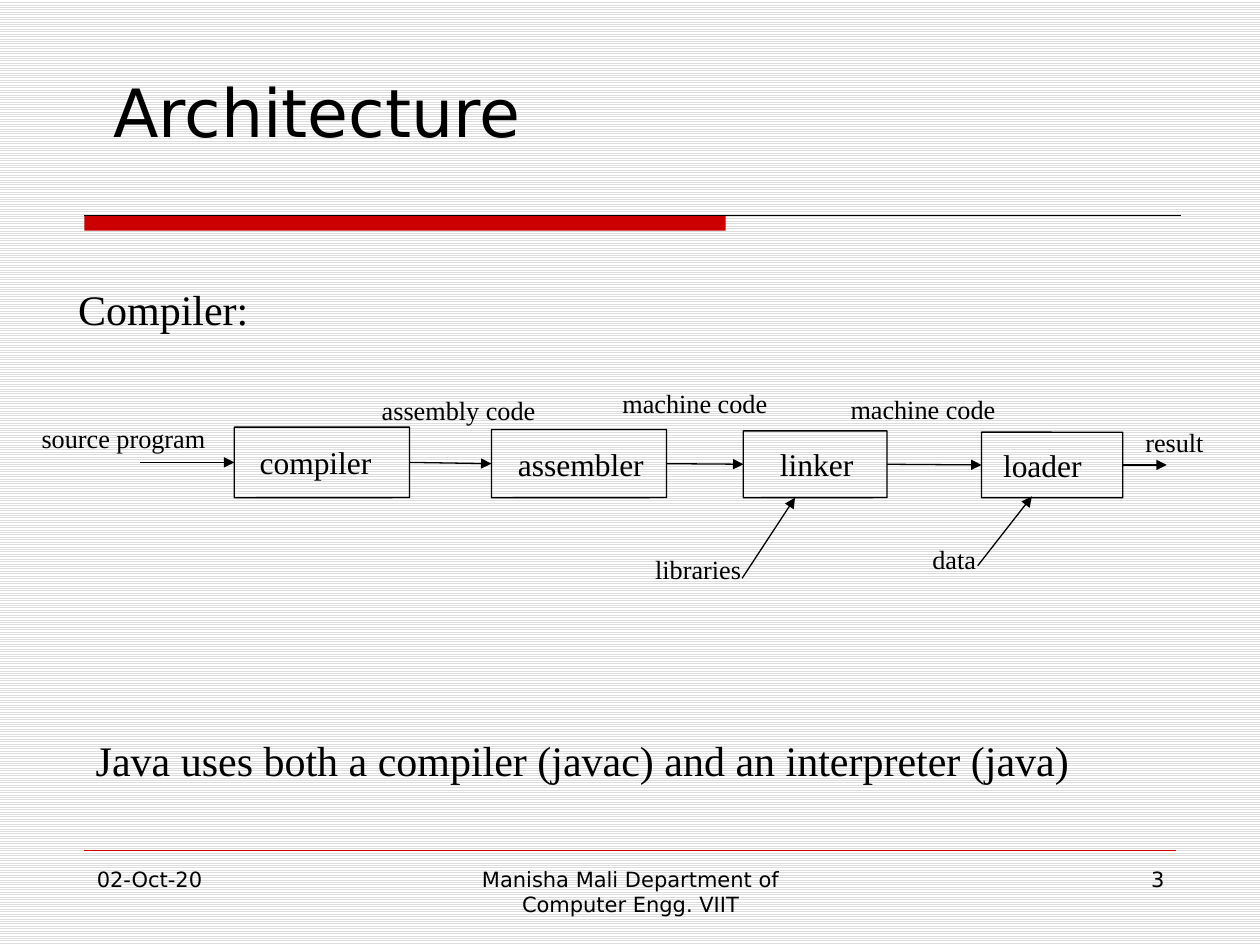
from dataclasses import dataclass

from lxml import etree
from pptx import Presentation
from pptx.dml.color import RGBColor
from pptx.enum.dml import MSO_PATTERN
from pptx.enum.shapes import MSO_CONNECTOR, MSO_SHAPE
from pptx.enum.text import MSO_ANCHOR, MSO_AUTO_SIZE, PP_ALIGN
from pptx.oxml.ns import qn
from pptx.util import Inches, Pt

STRAIGHT = MSO_CONNECTOR.STRAIGHT
RECTANGLE = MSO_SHAPE.RECTANGLE
STAGE_SHAPE = MSO_SHAPE.ROUNDED_RECTANGLE
LIGHT_STRIPES = MSO_PATTERN.LIGHT_HORIZONTAL
TOP, MIDDLE, BOTTOM = MSO_ANCHOR.TOP, MSO_ANCHOR.MIDDLE, MSO_ANCHOR.BOTTOM
LEFT, CENTER, RIGHT = PP_ALIGN.LEFT, PP_ALIGN.CENTER, PP_ALIGN.RIGHT
FIXED_SIZE = MSO_AUTO_SIZE.NONE
LEFT_SIDE, RIGHT_SIDE = 1, 3
TITLE_ONLY = 5

SLIDE_WIDTH, SLIDE_HEIGHT = Inches(10), Inches(7.5)
COLUMNS = 100
UNIT = SLIDE_WIDTH / COLUMNS


@dataclass(frozen=True)
class Theme:
    """Colours, fonts, type sizes and line widths of the slide."""
    ink: RGBColor = RGBColor(0, 0, 0)
    accent: RGBColor = RGBColor(0xCC, 0, 0)
    paper: RGBColor = RGBColor(0xFF, 0xFF, 0xFF)
    stripe: RGBColor = RGBColor(0xDD, 0xDD, 0xDD)
    heading_font: str = "DejaVu Sans"
    body_font: str = "Times New Roman"
    title: float = 38
    statement: float = 24
    stage: float = 18
    label: float = 15
    footer: float = 12
    line: float = 0.75
    hairline: float = 0.25


THEME = Theme()


@dataclass(frozen=True)
class Box:
    """A rectangle measured in grid columns and rows."""
    left: float
    top: float
    width: float
    height: float

    def inner(self, left, top, width, height):
        """Return a box placed relative to this one."""
        return Box(self.left + left, self.top + top, width, height)

    def point(self, x, y):
        """Return a slide position relative to this box."""
        return round((self.left + x) * UNIT), round((self.top + y) * UNIT)

    def frame(self):
        """Return left, top, width and height on the slide."""
        return (*self.point(0, 0), round(self.width * UNIT), round(self.height * UNIT))


def write(frame, text, *, size, font=THEME.body_font, align=LEFT, anchor=TOP, insets=(0, 0, 0, 0)):
    """Fill a text frame with one formatted paragraph."""
    frame.word_wrap = True
    frame.auto_size = FIXED_SIZE
    frame.vertical_anchor = anchor
    frame.margin_left, frame.margin_top, frame.margin_right, frame.margin_bottom = (
        round(inset * UNIT) for inset in insets)
    paragraph = frame.paragraphs[0]
    paragraph.alignment = align
    run = paragraph.add_run()
    run.text = text
    run.font.name, run.font.size = font, Pt(size)
    run.font.color.rgb = THEME.ink


def add_text(slide, box, text, **style):
    """Add a text box in the given box."""
    write(slide.shapes.add_textbox(*box.frame()).text_frame, text, **style)


def add_line(slide, start, end, *, color=THEME.ink, width=THEME.line, arrow=False):
    """Add a straight line, with an arrowhead at its end if asked."""
    line = slide.shapes.add_connector(STRAIGHT, *start, *end)
    line.line.color.rgb = color
    line.line.width = Pt(width)
    properties = line.element.spPr
    if arrow:
        etree.SubElement(properties.find(qn("a:ln")), qn("a:tailEnd"), type="triangle")
    etree.SubElement(properties, qn("a:effectLst"))
    return line


def add_background(slide):
    """Cover the slide with pale horizontal stripes."""
    fill = slide.background.fill
    fill.patterned()
    fill.pattern = LIGHT_STRIPES
    fill.fore_color.rgb, fill.back_color.rgb = THEME.stripe, THEME.paper


def add_header(slide, box, text):
    """Place the title above a red bar that continues as a thin rule."""
    bar = slide.shapes.add_shape(RECTANGLE, *box.inner(0, 12.1, 50.9, 1.2).frame())
    bar.shadow.inherit = False
    bar.fill.solid()
    bar.fill.fore_color.rgb = THEME.accent
    bar.line.fill.background()
    add_line(slide, box.point(0, 12.1), box.point(box.width, 12.1))
    title = slide.shapes.title
    title.left, title.top, title.width, title.height = box.inner(1.3, 0, 67.3, 7.5).frame()
    write(title.text_frame, text, size=THEME.title, font=THEME.heading_font,
          anchor=BOTTOM, insets=(1, 0.5, 1, 0.5))


def add_stage(slide, box, text, indent):
    """Add one outlined stage of the pipeline."""
    stage = slide.shapes.add_shape(STAGE_SHAPE, *box.frame())
    stage.adjustments[0] = 0.003
    stage.shadow.inherit = False
    stage.fill.background()
    stage.line.color.rgb = THEME.ink
    stage.line.width = Pt(THEME.line)
    write(stage.text_frame, text, size=THEME.stage, anchor=MIDDLE, insets=(indent, 0, 0, 0))
    return stage


def add_pipeline(slide, box):
    """Draw the chain from source program to result with its side inputs."""
    stage_specs = [
        ("compiler", 2, (18.6, 3.9, 13.9, 5.6)),
        ("assembler", 2.1, (39, 4.1, 13.9, 5.4)),
        ("linker", 2.9, (59, 4.2, 11.4, 5.3)),
        ("loader", 1.7, (77.9, 4.3, 11.2, 5.2)),
    ]
    stages = [add_stage(slide, box.inner(*place), text, indent)
              for text, indent, place in stage_specs]

    source_arrow = add_line(slide, box.point(11.1, 6.7), box.point(18.6, 6.7), arrow=True)
    source_arrow.end_connect(stages[0], LEFT_SIDE)
    for sender, receiver in zip(stages, stages[1:]):
        flow = add_line(slide, (0, 0), (0, 0), arrow=True)
        flow.begin_connect(sender, RIGHT_SIDE)
        flow.end_connect(receiver, LEFT_SIDE)
    result_arrow = add_line(slide, box.point(89.1, 6.9), box.point(92.6, 6.9), arrow=True)
    result_arrow.begin_connect(stages[-1], RIGHT_SIDE)

    for start, end in [((58.9, 15.9), (63.1, 9.5)), ((77.6, 14.9), (81.9, 9.4))]:
        add_line(slide, box.point(*start), box.point(*end), arrow=True)

    labels = [
        ("source program", 3.3, 3.5, 17.3),
        ("assembly code", 30.3, 1.3, 13.4),
        ("machine code", 49.4, 0.7, 11.8),
        ("machine code", 67.5, 1.2, 11.8),
        ("libraries", 52, 13.9, 9.9),
        ("data", 74, 13.1, 9),
        ("result", 90.9, 3.8, 5.7),
    ]
    for text, left, top, width in labels:
        add_text(slide, box.inner(left, top, width, 2.5), text, size=THEME.label)


def add_footer(slide, box, entries):
    """Rule off the footer and place its date, author and page number."""
    add_line(slide, box.point(0, 0), box.point(box.width, 0),
             color=THEME.accent, width=THEME.hairline)
    columns = [(0, 21.7, LEFT), (27.5, 31.7, CENTER), (65, 21.7, RIGHT)]
    for text, (left, width, align) in zip(entries, columns):
        add_text(slide, box.inner(left, 0.8, width, 5.2), text, size=THEME.footer,
                 font=THEME.heading_font, align=align, insets=(1, 0.5, 1, 0.5))


def main():
    """Build and save the architecture slide."""
    deck = Presentation()
    deck.slide_width, deck.slide_height = SLIDE_WIDTH, SLIDE_HEIGHT
    slide = deck.slides.add_slide(deck.slide_layouts[TITLE_ONLY])
    add_background(slide)
    add_header(slide, Box(6.7, 5, 87, 13.3), "Architecture")
    add_text(slide, Box(6.2, 22.5, 14.5, 4), "Compiler:", size=THEME.statement)
    add_pipeline(slide, Box(0, 30, COLUMNS, 16.5))
    add_text(slide, Box(7.6, 58.3, 88.5, 4),
             "Java uses both a compiler (javac) and an interpreter (java)", size=THEME.statement)
    add_footer(slide, Box(6.7, 67.5, 86.6, 6),
               ["02-Oct-20", "Manisha Mali Department of Computer Engg. VIIT", "3"])
    deck.save("out.pptx")


if __name__ == "__main__":
    main()
